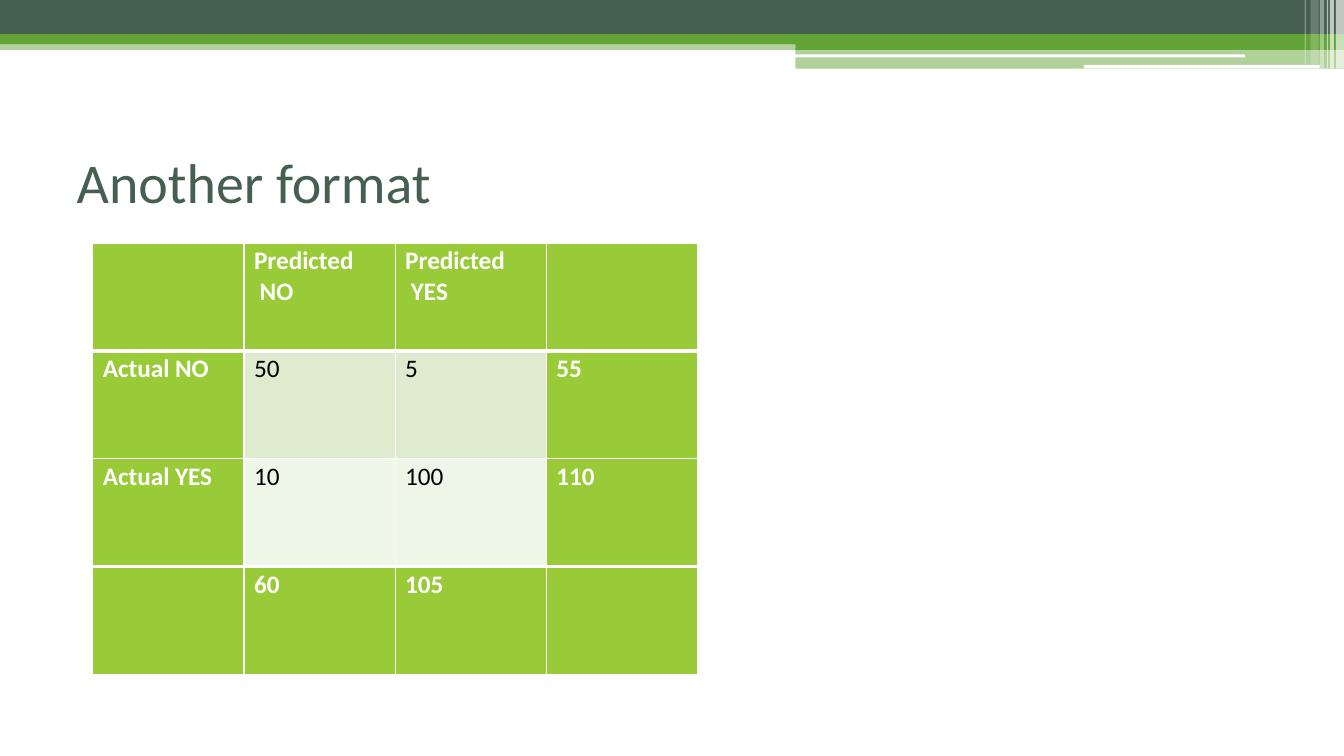
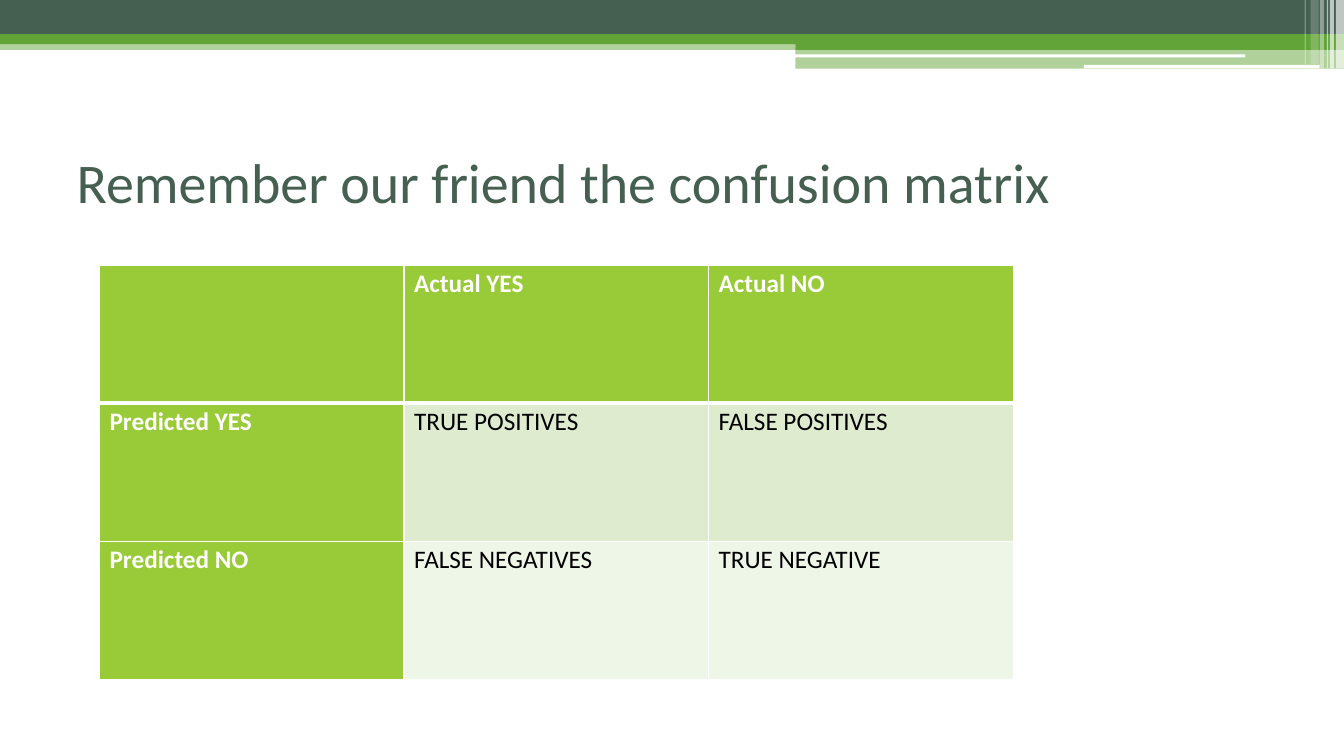
from lxml.etree import SubElement
from pptx import Presentation
from pptx.dml.color import RGBColor
from pptx.enum.shapes import MSO_SHAPE
from pptx.enum.text import MSO_ANCHOR, MSO_AUTO_SIZE, PP_ALIGN
from pptx.oxml.ns import qn
from pptx.util import Inches, Pt

WIDTH, HEIGHT = Inches(13.33), Inches(7.5)
FONT = "Calibri"
COLORS = {
    "dark": "455F51",
    "green": "62A437",
    "head": "99CA38",
    "odd": "DEEBCE",
    "even": "EEF6E8",
    "white": "FFFFFF",
    "black": "000000",
}
TITLE_LEFT, TITLE_TOP, TITLE_HEIGHT = 5.63, 19.33, 9.2

# Left, top, right, bottom in percent of the slide; colour; opacity in percent
BANDS = [
    (0, 5.87, 59.19, 6.6, "green", 50),
    (0, 0, 100, 4.53, "dark", 100),
    (59.19, 6.4, 100, 9.07, "green", 50),
    (59.15, 7.2, 92.65, 7.6, "white", 100),
    (80.65, 8.6, 98.2, 9.07, "white", 100),
    (98.95, 0, 99.25, 9.07, "white", 65),
    (99.4, 0, 100, 9.07, "white", 65),
    (98.72, 0, 98.82, 9.07, "white", 60),
    (98.2, 0, 98.5, 9.07, "white", 40),
    (97.52, 0, 98.12, 8.53, "white", 20),
    (97.07, 0, 97.17, 8.53, "white", 30),
]
STEP = [(0, 4.53), (100, 4.53), (100, 6.6), (59.19, 6.6), (59.19, 5.87), (0, 5.87)]


def x(percent):
    return round(WIDTH * percent / 100)


def y(percent):
    return round(HEIGHT * percent / 100)


def rgb(name):
    return RGBColor.from_string(COLORS[name])


def paint(sp, color, opacity=100):
    sp.shadow.inherit = False
    sp.fill.solid()
    sp.fill.fore_color.rgb = rgb(color)
    sp.line.fill.background()
    if opacity < 100:
        clr = sp.element.spPr.find(qn("a:solidFill")).find(qn("a:srgbClr"))
        SubElement(clr, qn("a:alpha"), val=str(opacity * 1000))


def add_band(s, left, top, right, bottom, color, opacity):
    sp = s.shapes.add_shape(MSO_SHAPE.RECTANGLE, x(left), y(top),
                            x(right - left), y(bottom - top))
    paint(sp, color, opacity)
    return sp


def add_step(s):
    points = [(x(px), y(py)) for px, py in STEP]
    builder = s.shapes.build_freeform(*points[0])
    builder.add_line_segments(points[1:], close=True)
    sp = builder.convert_to_shape()
    paint(sp, "green")
    return sp


def decorate_layout(layout, s):
    """Draw the header bands on a slide and hand them to its layout."""
    for ph in list(layout.placeholders)[1:]:
        ph.element.getparent().remove(ph.element)
    bands = [add_band(s, *band) for band in BANDS]
    bands.insert(2, add_step(s))
    for sp in bands:
        layout.shapes.element.append(sp.element)


def set_title(s, text, width):
    title = s.shapes.title
    title.left, title.top = x(TITLE_LEFT), y(TITLE_TOP)
    title.width, title.height = x(width), y(TITLE_HEIGHT)
    tf = title.text_frame
    tf.text = text
    tf.word_wrap = True
    tf.auto_size = MSO_AUTO_SIZE.NONE
    tf.vertical_anchor = MSO_ANCHOR.TOP
    tf.margin_left = tf.margin_top = Inches(0.01)
    tf.margin_right = tf.margin_bottom = 0
    p = tf.paragraphs[0]
    p.alignment = PP_ALIGN.LEFT
    p.font.name, p.font.size = FONT, Pt(40)
    p.font.color.rgb = rgb("dark")


def set_borders(cell, top, bottom):
    tc_pr = cell._tc.get_or_add_tcPr()
    for side, width in (("L", 1), ("R", 1), ("T", top), ("B", bottom)):
        ln = SubElement(tc_pr, qn(f"a:ln{side}"), w=str(Pt(width)))
        fill = SubElement(ln, qn("a:solidFill"))
        SubElement(fill, qn("a:srgbClr"), val=COLORS["white"])


def format_cell(cell, text, fill, is_head):
    cell.margin_left, cell.margin_top = Inches(0.1), Inches(0.03)
    cell.margin_right = cell.margin_bottom = 0
    cell.fill.solid()
    cell.fill.fore_color.rgb = rgb(fill)
    cell.text = text
    p = cell.text_frame.paragraphs[0]
    p.font.name, p.font.size, p.font.bold = FONT, Pt(18), is_head
    p.font.color.rgb = rgb("white" if is_head else "black")


def add_matrix(s, rows, left, top, col_width, row_height, totals=False):
    """Add a table with a head row and column, and with totals at the far ends."""
    n_rows, n_cols = len(rows), len(rows[0])
    table = s.shapes.add_table(n_rows, n_cols, x(left), y(top),
                               x(col_width * n_cols), y(row_height * n_rows)).table
    head_rows = {0, n_rows - 1} if totals else {0}
    head_cols = {0, n_cols - 1} if totals else {0}
    thick_edges = {1, n_rows - 1} if totals else {1}
    for r, row in enumerate(rows):
        for c, text in enumerate(row):
            cell = table.cell(r, c)
            is_head = r in head_rows or c in head_cols
            fill = "head" if is_head else "odd" if r % 2 else "even"
            set_borders(cell, *(3 if edge in thick_edges else 1 for edge in (r, r + 1)))
            format_cell(cell, text, fill, is_head)


def main():
    prs = Presentation()
    prs.slide_width, prs.slide_height = WIDTH, HEIGHT
    layout = prs.slide_layouts[5]

    s = prs.slides.add_slide(layout)
    decorate_layout(layout, s)
    set_title(s, "Another format", 26.56)
    add_matrix(s, [
        ["", "Predicted\v NO", "Predicted\v YES", ""],
        ["Actual NO", "50", "5", "55"],
        ["Actual YES", "10", "100", "110"],
        ["", "60", "105", ""],
    ], 6.9, 32.13, 11.25, 14.27, totals=True)

    s = prs.slides.add_slide(layout)
    set_title(s, "Remember our friend the confusion matrix", 72.62)
    add_matrix(s, [
        ["", "Actual YES", "Actual NO"],
        ["Predicted YES", "TRUE POSITIVES", "FALSE POSITIVES"],
        ["Predicted NO", "FALSE NEGATIVES", "TRUE NEGATIVE"],
    ], 7.4, 35.07, 22.66, 18.27)

    prs.save("out.pptx")


if __name__ == "__main__":
    main()
